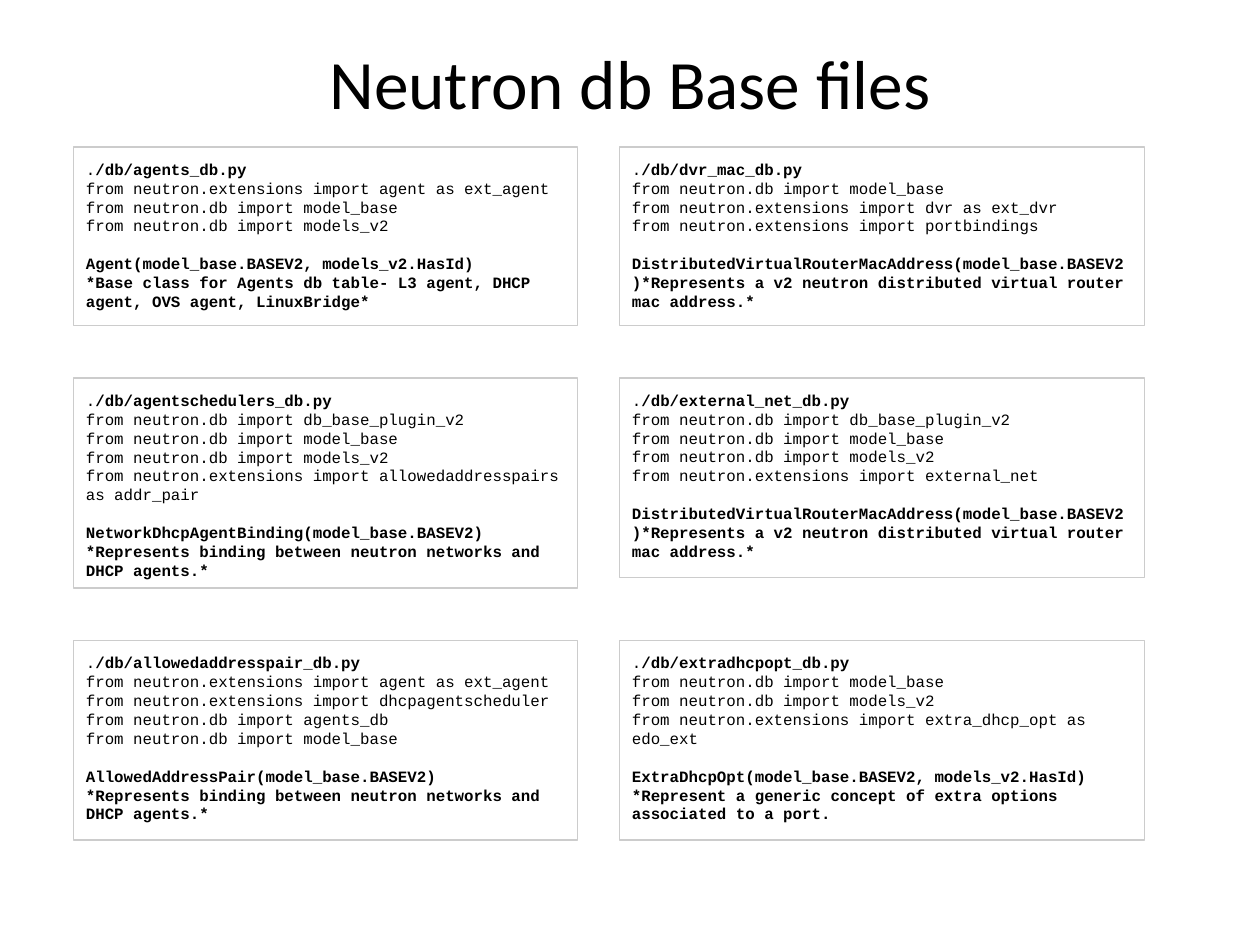
from pptx import Presentation
from pptx.dml.color import RGBColor
from pptx.enum.shapes import MSO_SHAPE as Shape
from pptx.enum.text import MSO_ANCHOR as Anchor, PP_ALIGN as Align
from pptx.util import Pt

LINE_PITCH = 10.8
COLUMNS = [(42, 288), (354, 300)]  # left, width
ROW_TOPS = [84, 216, 366]
ROUTER_MAC = ["DistributedVirtualRouterMacAddress(model_base.BASEV2)"
              "*Represents a v2 neutron distributed virtual router mac address.*"]
BINDING = "*Represents binding between neutron networks and DHCP agents.*"

# Each row holds a left and a right card: file, height, imports, class summary
CARDS = [
    [("agents_db.py", 102,
      ["from neutron.extensions import agent as ext_agent",
       "from neutron.db import model_base",
       "from neutron.db import models_v2"],
      ["Agent(model_base.BASEV2, models_v2.HasId)",
       "*Base class for Agents db table- L3 agent, DHCP agent, OVS agent, LinuxBridge*"]),
     ("dvr_mac_db.py", 102,
      ["from neutron.db import model_base",
       "from neutron.extensions import dvr as ext_dvr",
       "from neutron.extensions import portbindings"],
      ROUTER_MAC)],
    [("agentschedulers_db.py", 120,
      ["from neutron.db import db_base_plugin_v2",
       "from neutron.db import model_base",
       "from neutron.db import models_v2",
       "from neutron.extensions import allowedaddresspairs as addr_pair"],
      ["NetworkDhcpAgentBinding(model_base.BASEV2)", BINDING]),
     ("external_net_db.py", 114,
      ["from neutron.db import db_base_plugin_v2",
       "from neutron.db import model_base",
       "from neutron.db import models_v2",
       "from neutron.extensions import external_net"],
      ROUTER_MAC)],
    [("allowedaddresspair_db.py", 114,
      ["from neutron.extensions import agent as ext_agent",
       "from neutron.extensions import dhcpagentscheduler",
       "from neutron.db import agents_db",
       "from neutron.db import model_base"],
      ["AllowedAddressPair(model_base.BASEV2)", BINDING]),
     ("extradhcpopt_db.py", 114,
      ["from neutron.db import model_base",
       "from neutron.db import models_v2",
       "from neutron.extensions import extra_dhcp_opt as edo_ext"],
      ["ExtraDhcpOpt(model_base.BASEV2, models_v2.HasId)",
       "*Represent a generic concept of extra options associated to a port."])],
]


def color(hex_code):
    return RGBColor.from_string(hex_code)


def write(paragraph, text, *, size=9, font="Courier New", bold=False,
          align=Align.LEFT, before=0, pitch=LINE_PITCH):
    paragraph.alignment = align
    paragraph.space_before = Pt(before)
    if pitch:
        paragraph.line_spacing = Pt(pitch)
    run = paragraph.add_run()
    run.text = text
    run.font.size = Pt(size)
    run.font.name = font
    run.font.bold = bold
    run.font.color.rgb = color("000000")


def add_title(slide, text, left, top, width, height):
    frame = slide.shapes.add_textbox(Pt(left), Pt(top), Pt(width), Pt(height)).text_frame
    frame.word_wrap = True
    frame.vertical_anchor = Anchor.MIDDLE
    write(frame.paragraphs[0], text, size=39.6, font="Calibri",
          align=Align.CENTER, pitch=None)


def add_card(slide, file_name, imports, summary, left, top, width, height):
    card = slide.shapes.add_shape(Shape.RECTANGLE, Pt(left), Pt(top), Pt(width), Pt(height))
    card.shadow.inherit = False
    card.fill.background()
    card.line.color.rgb = color("CCCCCC")
    card.line.width = Pt(0.75)

    frame = card.text_frame
    frame.word_wrap = True
    frame.vertical_anchor = Anchor.TOP
    frame.margin_left = frame.margin_right = Pt(7.2)
    frame.margin_top = frame.margin_bottom = Pt(7.2)

    heading = frame.paragraphs[0]
    write(heading, ".")
    write(heading, f"/db/{file_name}", bold=True)
    for statement in imports:
        write(frame.add_paragraph(), statement)
    for index, sentence in enumerate(summary):
        write(frame.add_paragraph(), sentence, bold=True,
              before=0 if index else LINE_PITCH)


def main():
    deck = Presentation()
    deck.slide_width, deck.slide_height = Pt(720), Pt(540)
    slide = deck.slides.add_slide(deck.slide_layouts[6])
    add_title(slide, "Neutron db Base files", 36, 21.6, 648, 50.4)
    for top, row in zip(ROW_TOPS, CARDS):
        for (left, width), (file_name, height, imports, summary) in zip(COLUMNS, row):
            add_card(slide, file_name, imports, summary, left, top, width, height)
    deck.save("out.pptx")


if __name__ == "__main__":
    main()
